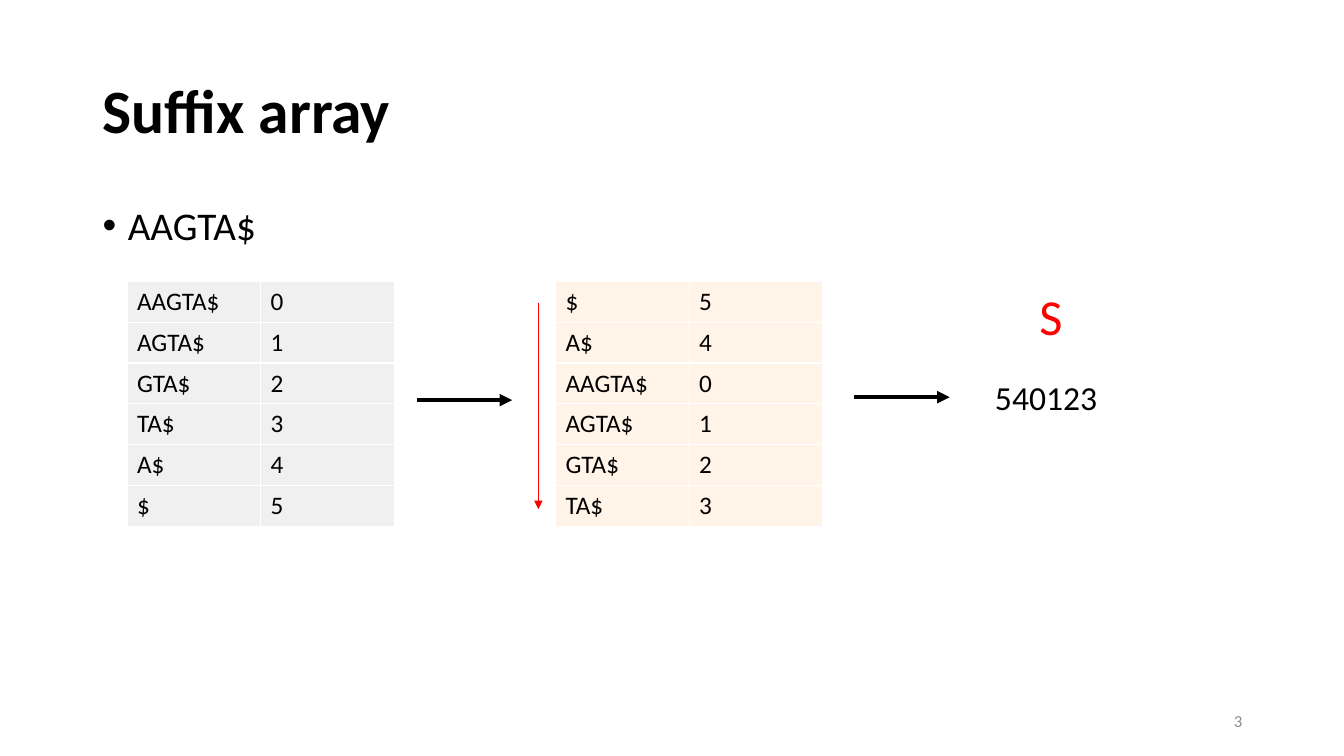
from lxml import etree
from pptx import Presentation
from pptx.dml.color import RGBColor
from pptx.enum.shapes import MSO_CONNECTOR
from pptx.enum.text import MSO_ANCHOR, MSO_AUTO_SIZE, PP_ALIGN
from pptx.oxml.ns import qn
from pptx.util import Inches, Pt

STRAIGHT = MSO_CONNECTOR.STRAIGHT
TOP, MIDDLE = MSO_ANCHOR.TOP, MSO_ANCHOR.MIDDLE
LEFT, RIGHT = PP_ALIGN.LEFT, PP_ALIGN.RIGHT
NO_FIT, GROW = MSO_AUTO_SIZE.NONE, MSO_AUTO_SIZE.SHAPE_TO_FIT_TEXT
BLACK, RED, WHITE, GREY = "000000", "FF0000", "FFFFFF", "8C8C8C"
UNSORTED_FILL, SORTED_FILL = "F0F0F0", "FFF4E7"
SEQUENCE = "AAGTA$"


def color(hex_code):
    return RGBColor.from_string(hex_code)


def write(frame, text, size=18, ink=BLACK, bold=False, align=LEFT,
          spacing=None, bullet=None, font="Calibri"):
    paragraph = frame.paragraphs[0]
    paragraph.text = text
    paragraph.alignment = align
    if spacing:
        paragraph.line_spacing = spacing
    if bullet:
        props = paragraph._p.get_or_add_pPr()
        props.set("marL", str(Inches(0.25)))
        props.set("indent", str(Inches(-0.25)))
        etree.SubElement(props, qn("a:buFont"), typeface="Arial")
        etree.SubElement(props, qn("a:buChar"), char=bullet)
    style = paragraph.runs[0].font
    style.name, style.size, style.bold = font, Pt(size), bold
    style.color.rgb = color(ink)


class SlideBuilder:
    """Draws styled elements on the current slide."""

    def __init__(self, deck):
        self.slide = deck.slides.add_slide(deck.slide_layouts[5])

    def title(self, text, left, top, width, height):
        heading = self.slide.shapes.title
        heading.left, heading.top = Inches(left), Inches(top)
        heading.width, heading.height = Inches(width), Inches(height)
        heading.text_frame.auto_size = NO_FIT
        heading.text_frame.vertical_anchor = MIDDLE
        write(heading.text_frame, text, size=44, bold=True, spacing=0.9)

    def text(self, text, left, top, width, height, anchor=TOP, wrap=True, **style):
        frame = self.slide.shapes.add_textbox(
            Inches(left), Inches(top), Inches(width), Inches(height)).text_frame
        frame.word_wrap = wrap
        frame.auto_size = NO_FIT if wrap else GROW
        frame.vertical_anchor = anchor
        write(frame, text, **style)

    def table(self, rows, left, top, width, height, fill, anchor):
        frame = self.slide.shapes.add_table(
            len(rows), len(rows[0]), Inches(left), Inches(top),
            Inches(width), Inches(height))
        grid = frame.table
        grid.first_row = grid.horz_banding = False
        for r, row in enumerate(rows):
            for c, value in enumerate(row):
                cell = grid.cell(r, c)
                cell.vertical_anchor = anchor
                write(cell.text_frame, str(value))
                self.borders(cell)
                cell.fill.solid()
                cell.fill.fore_color.rgb = color(fill)

    def borders(self, cell):
        props = cell._tc.get_or_add_tcPr()
        for side in ("a:lnL", "a:lnR", "a:lnT", "a:lnB"):
            edge = etree.SubElement(props, qn(side), w=str(Pt(1)))
            paint = etree.SubElement(edge, qn("a:solidFill"))
            etree.SubElement(paint, qn("a:srgbClr"), val=WHITE)

    def arrow(self, x1, y1, x2, y2, ink=BLACK, weight=3):
        link = self.slide.shapes.add_connector(
            STRAIGHT, Inches(x1), Inches(y1), Inches(x2), Inches(y2))
        link.line.color.rgb = color(ink)
        link.line.width = Pt(weight)
        etree.SubElement(link.line._get_or_add_ln(), qn("a:tailEnd"), type="triangle")
        etree.SubElement(link._element.spPr, qn("a:effectLst"))


def main():
    deck = Presentation()
    deck.slide_width, deck.slide_height = Inches(13.33), Inches(7.5)
    page = SlideBuilder(deck)
    suffixes = [(SEQUENCE[i:], i) for i in range(len(SEQUENCE))]
    ordered = sorted(suffixes)
    suffix_array = "".join(str(start) for _, start in ordered)

    page.title("Suffix array", 0.92, 0.4, 11.5, 1.45)
    page.text(SEQUENCE, 0.92, 2, 11.5, 4.76, size=28, spacing=0.9, bullet="•")
    page.text("3", 9.42, 6.95, 3, 0.4, anchor=MIDDLE, size=12, ink=GREY, align=RIGHT)
    page.table(suffixes, 1.26, 2.79, 2.65, 2.43, UNSORTED_FILL, MIDDLE)
    page.table(ordered, 5.51, 2.79, 2.65, 2.43, SORTED_FILL, TOP)
    page.arrow(4.14, 3.97, 5.08, 3.97)
    page.arrow(5.34, 3.01, 5.34, 5.05, ink=RED, weight=0.5)
    page.arrow(8.47, 3.94, 9.42, 3.94)
    page.text(suffix_array, 9.77, 3.69, 1.32, 0.5, wrap=False, size=24)
    page.text("S", 10.21, 2.78, 0.45, 0.71, wrap=False, size=36, ink=RED)
    deck.save("out.pptx")


if __name__ == "__main__":
    main()
